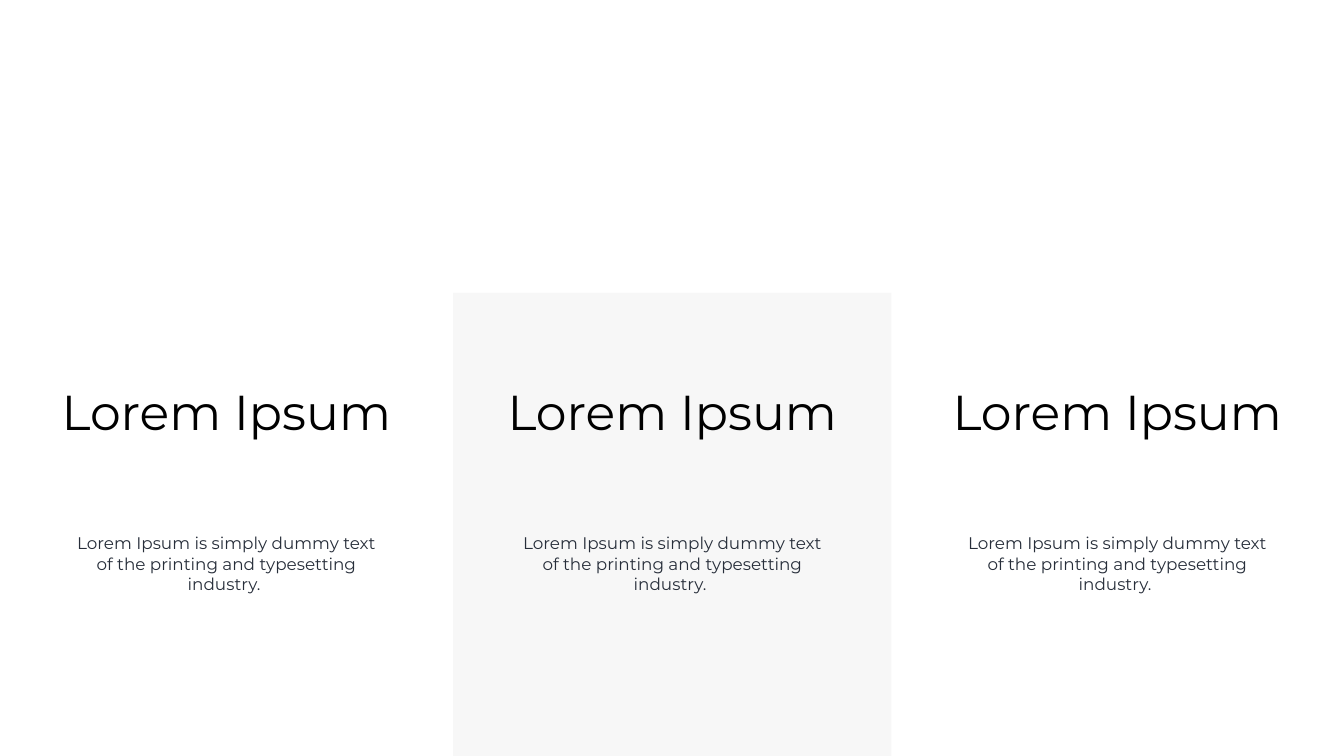
from dataclasses import dataclass

from pptx import Presentation
from pptx.dml.color import RGBColor
from pptx.enum.shapes import MSO_SHAPE
from pptx.enum.text import MSO_AUTO_SIZE, PP_ALIGN
from pptx.slide import Slide
from pptx.util import Inches, Pt

RECTANGLE = MSO_SHAPE.RECTANGLE
CENTER = PP_ALIGN.CENTER
FIT_SHAPE = MSO_AUTO_SIZE.SHAPE_TO_FIT_TEXT


@dataclass(frozen=True)
class Theme:
    font: str = "Montserrat"
    background: RGBColor = RGBColor(0xFF, 0xFF, 0xFF)
    panel: RGBColor = RGBColor(0xF7, 0xF7, 0xF7)
    heading: RGBColor = RGBColor(0x00, 0x00, 0x00)
    body: RGBColor = RGBColor(0x27, 0x2E, 0x3A)
    heading_size: int = 70
    body_size: int = 24


@dataclass(frozen=True)
class Block:
    left: float
    top: float
    width: float
    height: float
    color: RGBColor


@dataclass(frozen=True)
class Column:
    center: float
    heading: str = "Lorem Ipsum"
    body: str = "Lorem Ipsum is simply dummy text of the printing and typesetting industry. "


@dataclass(frozen=True)
class TextStyle:
    top: float
    width: float
    height: float
    size: int
    color: RGBColor
    wrap: bool
    inset_x: float = 0
    inset_y: float = 0


THEME = Theme()
SLIDE_W, SLIDE_H = 26.67, 15

PANEL = Block(8.99, 5.81, 8.7, 9.21, THEME.panel)
DIVIDERS = [Block(left, 0.89, 0.08, 4.14, THEME.background) for left in (17.63, 8.97)]

HEADING = TextStyle(7.57, 6.62, 1.18, THEME.heading_size, THEME.heading, wrap=False)
BODY = TextStyle(10.53, 6.25, 1.31, THEME.body_size, THEME.body, wrap=True,
                 inset_x=0.1, inset_y=0.05)

COLUMNS = [Column(center) for center in (4.49, 13.34, 22.17)]


def add_block(slide: Slide, block: Block) -> None:
    """Add a plain filled rectangle."""
    sp = slide.shapes.add_shape(RECTANGLE, Inches(block.left), Inches(block.top),
                                Inches(block.width), Inches(block.height))
    sp.shadow.inherit = False
    sp.fill.solid()
    sp.fill.fore_color.rgb = block.color
    sp.line.fill.background()


def add_text(slide: Slide, text: str, center: float, style: TextStyle) -> None:
    """Add a text box centred on the given horizontal position."""
    sp = slide.shapes.add_textbox(Inches(center - style.width / 2), Inches(style.top),
                                  Inches(style.width), Inches(style.height))
    tf = sp.text_frame
    tf.word_wrap = style.wrap
    tf.auto_size = FIT_SHAPE
    tf.margin_left = tf.margin_right = Inches(style.inset_x)
    tf.margin_top = tf.margin_bottom = Inches(style.inset_y)
    p = tf.paragraphs[0]
    p.text = text
    p.alignment = CENTER
    p.font.name = THEME.font
    p.font.size = Pt(style.size)
    p.font.color.rgb = style.color


def main() -> None:
    prs = Presentation()
    prs.slide_width, prs.slide_height = Inches(SLIDE_W), Inches(SLIDE_H)
    slide = prs.slides.add_slide(prs.slide_layouts[6])

    # Background, middle panel and column dividers
    slide.background.fill.solid()
    slide.background.fill.fore_color.rgb = THEME.background
    for block in (PANEL, *DIVIDERS):
        add_block(slide, block)

    # Three text columns
    for column in COLUMNS:
        add_text(slide, column.heading, column.center, HEADING)
        add_text(slide, column.body, column.center, BODY)

    prs.save("out.pptx")


if __name__ == "__main__":
    main()
